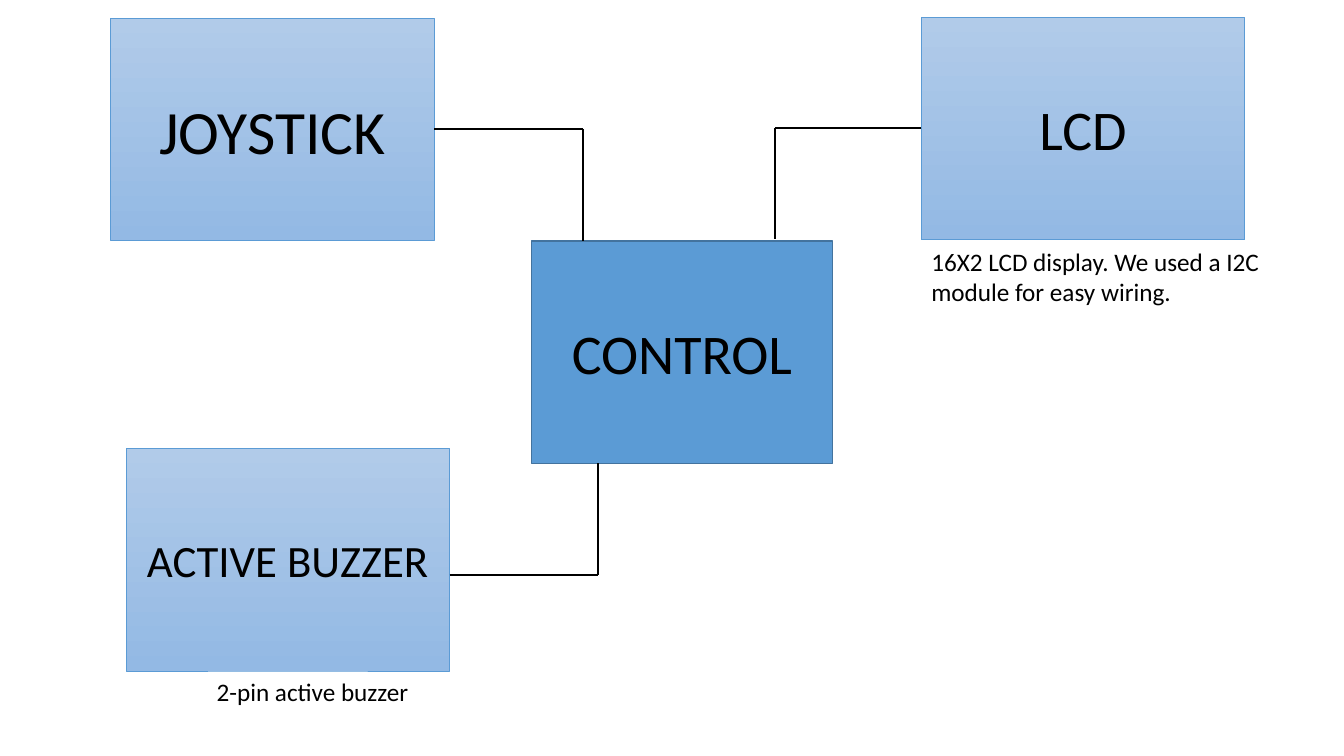
from dataclasses import dataclass
from typing import NamedTuple

from lxml import etree
from pptx import Presentation
from pptx.dml.color import RGBColor
from pptx.enum import shapes, text
from pptx.oxml.ns import qn
from pptx.slide import Slide
from pptx.util import Cm, Pt


@dataclass(frozen=True)
class Theme:
    font: str = "Calibri"
    ink: str = "000000"
    core_fill: str = "5B9BD5"
    core_edge: str = "43739E"
    part_fill: tuple[str, str] = ("B1CBE9", "93B9E4")
    part_edge: str = "5B9BD5"
    caption_size: float = 18
    wire_width: float = 1.5


class Block(NamedTuple):
    label: str
    left: float
    top: float
    size: float
    width: float = 8.15
    height: float = 5.61
    is_core: bool = False


class Caption(NamedTuple):
    label: str
    left: float
    top: float
    width: float
    height: float


class Wire(NamedTuple):
    """Leaves a part sideways at (x, y), then turns towards the board."""
    x: float
    y: float
    turn_x: float
    end_y: float


THEME = Theme()

BLOCKS = [
    Block("CONTROL", 13.39, 6.07, 40, width=7.59, is_core=True),
    Block("ACTIVE BUZZER", 3.18, 11.3, 32),
    Block("JOYSTICK", 2.79, 0.46, 44),
    Block("LCD", 23.22, 0.43, 40),
]
CAPTIONS = [
    Caption("16X2 LCD display. We used a I2C module for easy wiring.",
            23.22, 6.07, 8.79, 1.8),
    Caption("2-pin active buzzer", 5.21, 16.92, 5.38, 1.02),
]
WIRES = [
    Wire(10.95, 3.25, 14.7, 6.07),
    Wire(11.33, 14.48, 15.06, 11.66),
    Wire(23.22, 3.23, 19.53, 6.02),
]


def rgb(value: str) -> RGBColor:
    return RGBColor.from_string(value)


def write(tf, label: str, size: float, align, anchor) -> None:
    for name, value in {"word_wrap": True, "vertical_anchor": anchor}.items():
        setattr(tf, name, value)
    p = tf.paragraphs[0]
    p.alignment = align
    r = p.add_run()
    r.text = label
    for name, value in {"name": THEME.font, "size": Pt(size)}.items():
        setattr(r.font, name, value)
    r.font.color.rgb = rgb(THEME.ink)


def draw_block(slide: Slide, block: Block) -> None:
    sp = slide.shapes.add_shape(
        shapes.MSO_SHAPE.RECTANGLE, Cm(block.left), Cm(block.top),
        Cm(block.width), Cm(block.height))
    sp.shadow.inherit = False
    if block.is_core:
        sp.fill.solid()
        sp.fill.fore_color.rgb = rgb(THEME.core_fill)
    else:
        sp.fill.gradient()
        sp.fill.gradient_angle = 270
        for stop, colour in zip(sp.fill.gradient_stops, THEME.part_fill):
            stop.color.rgb = rgb(colour)
    sp.line.color.rgb = rgb(THEME.core_edge if block.is_core else THEME.part_edge)
    sp.line.width = Pt(1 if block.is_core else 0.5)
    write(sp.text_frame, block.label, block.size,
          text.PP_ALIGN.CENTER, text.MSO_ANCHOR.MIDDLE)


def draw_caption(slide: Slide, caption: Caption) -> None:
    sp = slide.shapes.add_textbox(*map(Cm, caption[1:]))
    write(sp.text_frame, caption.label, THEME.caption_size,
          text.PP_ALIGN.LEFT, text.MSO_ANCHOR.TOP)


def draw_wire(slide: Slide, wire: Wire) -> None:
    points = [(wire.x, wire.y), (wire.turn_x, wire.y), (wire.turn_x, wire.end_y)]
    for start, end in zip(points, points[1:]):
        sp = slide.shapes.add_connector(
            shapes.MSO_CONNECTOR.STRAIGHT, *map(Cm, start + end))
        sp.line.color.rgb = rgb(THEME.ink)
        sp.line.width = Pt(THEME.wire_width)
        etree.SubElement(sp._element.spPr, qn("a:effectLst"))


def main() -> None:
    prs = Presentation()
    prs.slide_width, prs.slide_height = Cm(33.87), Cm(19.05)
    slide = prs.slides.add_slide(prs.slide_layouts[6])

    # Board and the parts around it
    for block in BLOCKS:
        draw_block(slide, block)

    # Notes below the parts
    for caption in CAPTIONS:
        draw_caption(slide, caption)

    # Wiring
    for wire in WIRES:
        draw_wire(slide, wire)

    prs.save("out.pptx")


if __name__ == "__main__":
    main()
